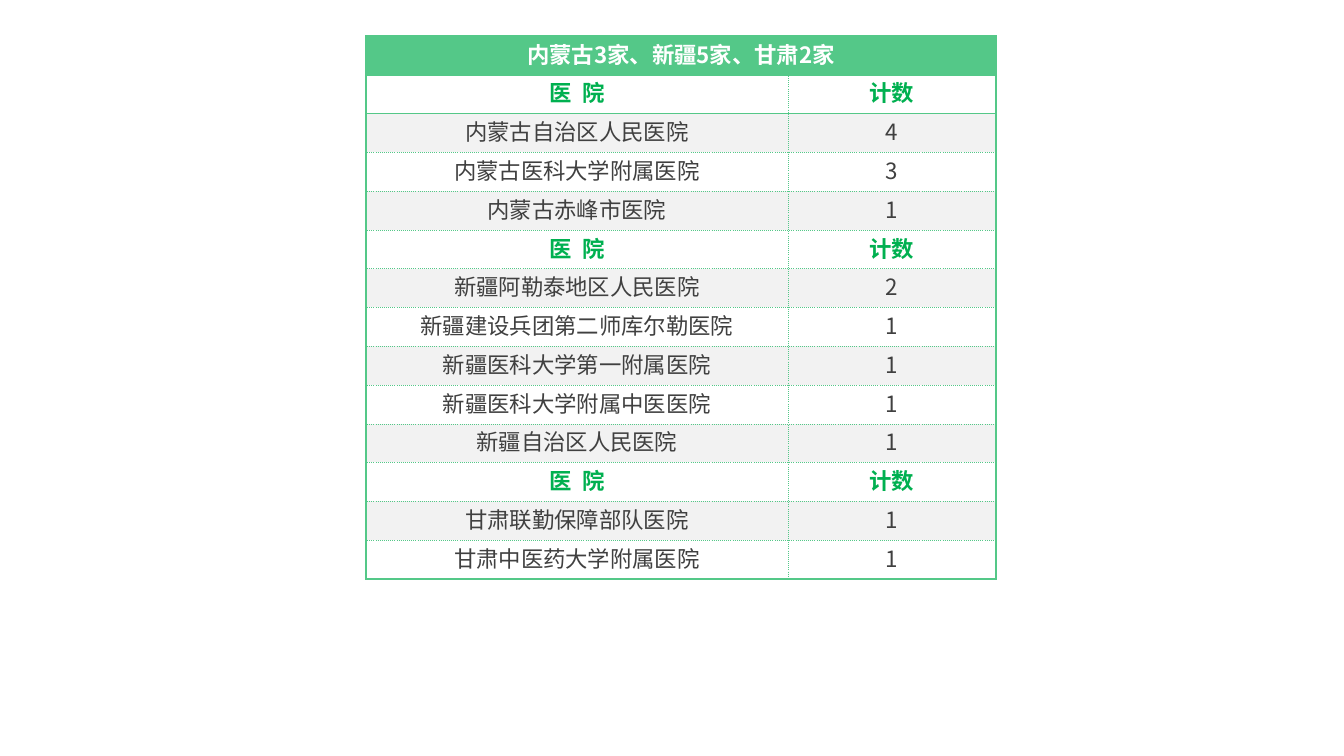
from dataclasses import dataclass

from lxml.etree import SubElement
from pptx import Presentation
from pptx.dml.color import RGBColor
from pptx.enum.text import MSO_ANCHOR, PP_ALIGN
from pptx.oxml.ns import qn
from pptx.util import Pt

HEADING = "内蒙古3家、新疆5家、甘肃2家"
COLUMN_NAMES = ("医\u2002院", "计数")
REGIONS = [
    [("内蒙古自治区人民医院", 4), ("内蒙古医科大学附属医院", 3), ("内蒙古赤峰市医院", 1)],
    [
        ("新疆阿勒泰地区人民医院", 2),
        ("新疆建设兵团第二师库尔勒医院", 1),
        ("新疆医科大学第一附属医院", 1),
        ("新疆医科大学附属中医医院", 1),
        ("新疆自治区人民医院", 1),
    ],
    [("甘肃联勤保障部队医院", 1), ("甘肃中医药大学附属医院", 1)],
]


@dataclass(frozen=True)
class Theme:
    """Colours, font and line widths of the slide."""
    font: str = "Noto Sans CJK SC"
    size: float = 16
    green: str = "54C888"
    label: str = "00B050"
    body: str = "404040"
    white: str = "FFFFFF"
    band: str = "F2F2F2"
    solid_line: float = 1.5
    dotted_line: float = 0.25


THEME = Theme()
LEFT, TOP, HEIGHT = 366, 36, 543
COLUMN_WIDTHS = (422, 208)
INSETS = {"margin_left": 1, "margin_top": 1, "margin_right": 1, "margin_bottom": 5}


def px(pixels):
    """Turn pixels into EMU."""
    return round(pixels * 914400 / 100.8)


def add_border(cell, side, solid):
    """Draw one edge of a cell, solid or dotted."""
    width = THEME.solid_line if solid else THEME.dotted_line
    line = SubElement(cell._tc.get_or_add_tcPr(), qn(f"a:ln{side}"), w=str(Pt(width)))
    SubElement(SubElement(line, qn("a:solidFill")), qn("a:srgbClr"), val=THEME.green)
    SubElement(line, qn("a:prstDash"), val="solid" if solid else "dot")


def fill_cell(cell, text, fill, color, bold):
    """Write centred text on a plain fill."""
    cell.fill.solid()
    cell.fill.fore_color.rgb = RGBColor.from_string(fill)
    cell.vertical_anchor = MSO_ANCHOR.MIDDLE
    for margin, pixels in INSETS.items():
        setattr(cell, margin, px(pixels))
    cell.text = text
    paragraph = cell.text_frame.paragraphs[0]
    paragraph.alignment = PP_ALIGN.CENTER
    font = paragraph.font
    font.name, font.size, font.bold = THEME.font, Pt(THEME.size), bold
    font.color.rgb = RGBColor.from_string(color)
    SubElement(font._element, qn("a:ea"), typeface=THEME.font)


def build_rows():
    """List every row as its texts, text colour and weight."""
    rows = [((HEADING, ""), THEME.white, True)]
    for hospitals in REGIONS:
        rows.append((COLUMN_NAMES, THEME.label, True))
        rows += [((name, str(count)), THEME.body, False) for name, count in hospitals]
    return rows


def add_hospital_table(slide):
    """Add the table of hospitals and counts."""
    rows = build_rows()
    last = len(rows) - 1
    table = slide.shapes.add_table(
        len(rows), len(COLUMN_WIDTHS), px(LEFT), px(TOP), px(sum(COLUMN_WIDTHS)), px(HEIGHT)
    ).table
    table.first_row = table.horz_banding = False
    for column, width in zip(table.columns, COLUMN_WIDTHS):
        column.width = px(width)
    for r, (texts, color, bold) in enumerate(rows):
        table.rows[r].height = px(HEIGHT / len(rows))
        fill = THEME.green if r == 0 else (THEME.white, THEME.band)[r % 2 == 0]
        for c, text in enumerate(texts):
            cell = table.cell(r, c)
            edges = {
                "L": c == 0 or r == 0,
                "R": c == 1 or r == 0,
                "T": r <= 2,
                "B": r <= 1 or r == last,
            }
            for side, solid in edges.items():
                add_border(cell, side, solid)
            fill_cell(cell, text, fill, color, bold)
    table.cell(0, 0).merge(table.cell(0, 1))


presentation = Presentation()
presentation.slide_width, presentation.slide_height = px(1344), px(756)
blank_layout = presentation.slide_layouts[6]
add_hospital_table(presentation.slides.add_slide(blank_layout))
presentation.save("out.pptx")
